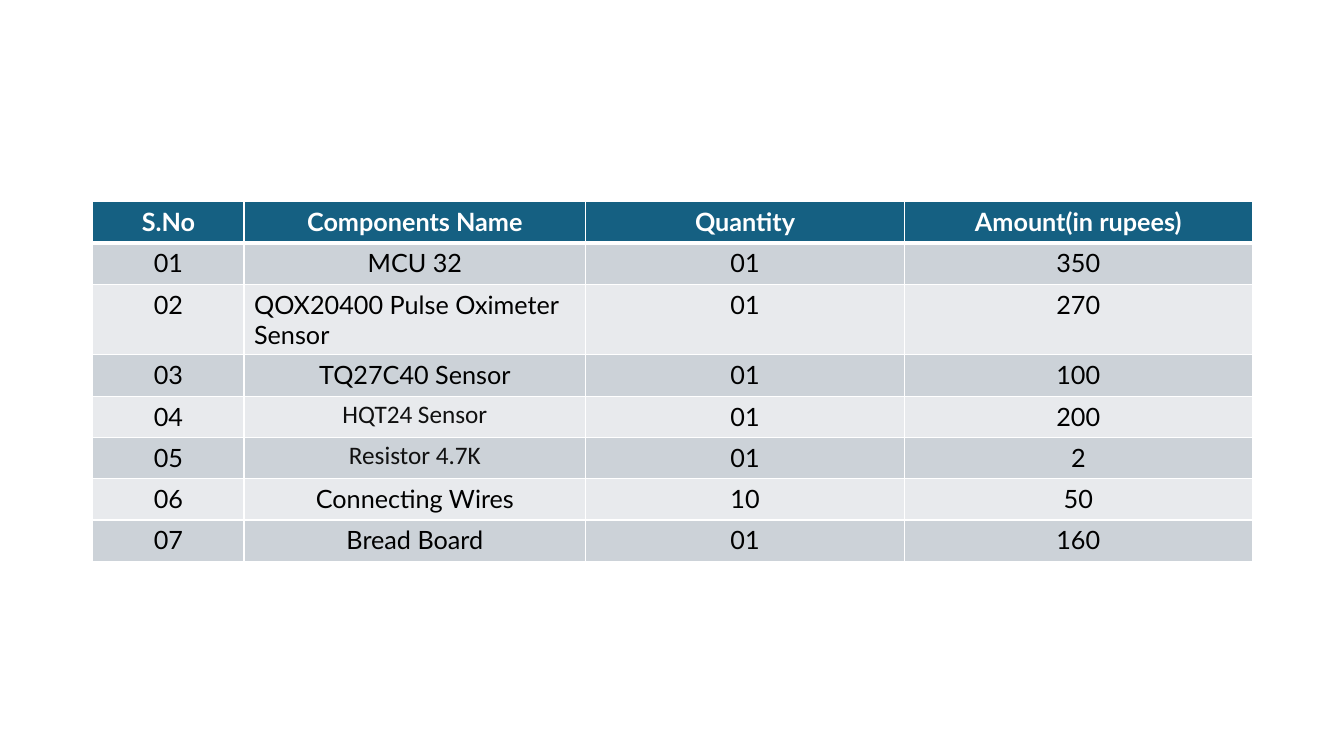
from dataclasses import dataclass

from lxml import etree
from pptx import Presentation
from pptx import util as u
from pptx.dml import color
from pptx.enum import text
from pptx.oxml import ns


@dataclass(frozen=True)
class Theme:
    header: str = "156082"
    bands: tuple = ("CCD2D8", "E8EAED")
    white: str = "FFFFFF"
    ink: str = "000000"
    soft_ink: str = "111111"
    font: str = "Lato"
    alt_font: str = "Calibri"
    size: int = 18
    rule: int = 1
    header_rule: int = 3


THEME = Theme()

HEADINGS = ("S.No", "Components Name", "Quantity", "Amount(in rupees)")
COMPONENTS = (
    ("MCU 32", "01", "350"),
    ("QOX20400 Pulse Oximeter Sensor", "01", "270"),
    ("TQ27C40 Sensor", "01", "100"),
    ("HQT24 Sensor", "01", "200"),
    ("Resistor 4.7K", "01", "2"),
    ("Connecting Wires", "10", "50"),
    ("Bread Board", "01", "160"),
)
LEFT_ALIGNED = {"QOX20400 Pulse Oximeter Sensor"}
ALT_STYLED = {"HQT24 Sensor", "Resistor 4.7K"}
COLUMN_WIDTHS = (1.5, 3.39, 3.16, 3.45)
ROW_HEIGHT = 0.41
TIGHT_MARGIN = 0.03


def set_borders(cell, top, bottom):
    """Draw white rules around a cell; widths are in points."""
    properties = cell._tc.get_or_add_tcPr()
    widths = {"lnL": THEME.rule, "lnR": THEME.rule, "lnT": top, "lnB": bottom}
    for side, width in widths.items():
        rule = etree.SubElement(properties, ns.qn(f"a:{side}"), w=str(u.Pt(width)))
        fill = etree.SubElement(rule, ns.qn("a:solidFill"))
        etree.SubElement(fill, ns.qn("a:srgbClr"), val=THEME.white)


def fill_cell(cell, wording, row):
    is_header = row == 0
    is_alt = wording in ALT_STYLED

    # Rules and background
    set_borders(cell,
                top=THEME.header_rule if row == 1 else THEME.rule,
                bottom=THEME.header_rule if is_header else THEME.rule)
    background = THEME.header if is_header else THEME.bands[(row - 1) % 2]
    cell.fill.solid()
    cell.fill.fore_color.rgb = color.RGBColor.from_string(background)
    if is_alt:
        cell.margin_left = cell.margin_right = u.Inches(TIGHT_MARGIN)
        cell.margin_top = cell.margin_bottom = u.Inches(TIGHT_MARGIN)

    # Wording
    paragraph = cell.text_frame.paragraphs[0]
    paragraph.alignment = (text.PP_ALIGN.LEFT if wording in LEFT_ALIGNED
                           else text.PP_ALIGN.CENTER)
    run = paragraph.add_run()
    run.text = wording
    run.font.name = THEME.alt_font if is_alt else THEME.font
    run.font.size = u.Pt(THEME.size)
    run.font.bold = is_header
    ink = THEME.white if is_header else THEME.soft_ink if is_alt else THEME.ink
    run.font.color.rgb = color.RGBColor.from_string(ink)


def add_cost_table(slide, left, top):
    numbered = [(f"{number:02}", *component)
                for number, component in enumerate(COMPONENTS, start=1)]
    rows = [HEADINGS, *numbered]
    costs = slide.shapes.add_table(
        len(rows), len(HEADINGS), u.Inches(left), u.Inches(top),
        u.Inches(sum(COLUMN_WIDTHS)), u.Inches(ROW_HEIGHT * len(rows))).table

    # Grid
    for column, width in zip(costs.columns, COLUMN_WIDTHS):
        column.width = u.Inches(width)
    for table_row in costs.rows:
        table_row.height = u.Inches(ROW_HEIGHT)

    # Contents
    for row, wordings in enumerate(rows):
        for column, wording in enumerate(wordings):
            fill_cell(costs.cell(row, column), wording, row)


def main():
    deck = Presentation()
    deck.slide_width, deck.slide_height = u.Inches(13.33), u.Inches(7.5)
    slide = deck.slides.add_slide(deck.slide_layouts[6])
    add_cost_table(slide, left=0.92, top=2)
    deck.save("out.pptx")


if __name__ == "__main__":
    main()
